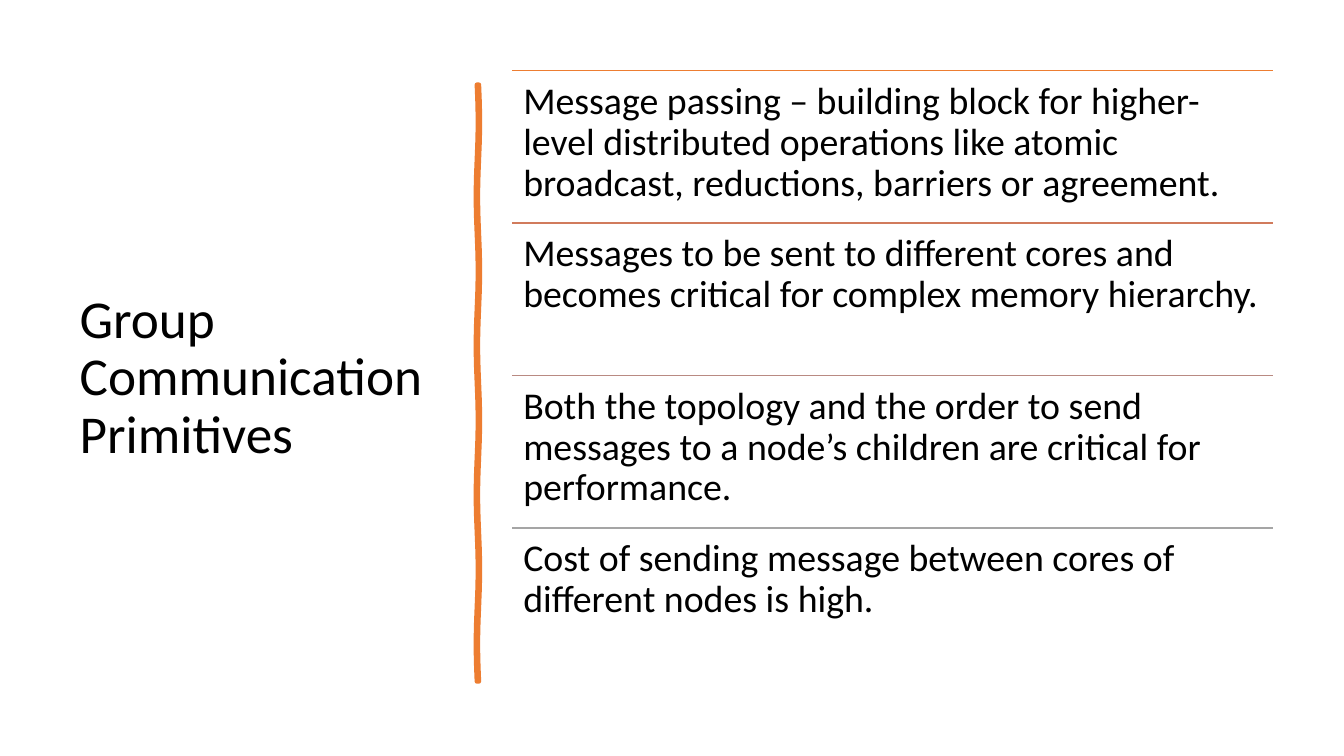
"""Build the Group Communication Primitives slide."""
from math import pi, sin
from lxml.etree import SubElement
from pptx import Presentation
from pptx.dml.color import RGBColor
from pptx.enum.shapes import MSO_CONNECTOR
from pptx.enum.text import MSO_ANCHOR, MSO_AUTO_SIZE, PP_ALIGN
from pptx.oxml.ns import qn
from pptx.util import Inches, Pt


def color(value):
    return RGBColor.from_string(value)


def write(tf, text, size, frame):
    for name, value in frame.items():
        setattr(tf, name, value)
    p = tf.paragraphs[0]
    p.alignment, p.line_spacing = PP_ALIGN.LEFT, 0.9
    r = p.add_run()
    r.text = text
    for name, value in {"name": "Calibri", "size": Pt(size)}.items():
        setattr(r.font, name, value)
    r.font.color.rgb = color("000000")


ORANGE = "ED7D31"
POINTS = [
    ("Message passing – building block for higher-level distributed operations "
     "like atomic broadcast, reductions, barriers or agreement.", ORANGE),
    ("Messages to be sent to different cores and becomes critical for complex "
     "memory hierarchy.", "D17B5C"),
    ("Both the topology and the order to send messages to a node’s children are "
     "critical for performance.", "B98A82"),
    ("Cost of sending message between cores of different nodes is high.", "A5A5A5"),
]
LIST_LEFT, LIST_TOP, LIST_WIDTH, LIST_HEIGHT = 5.08, 0.7, 7.55, 6.05
ROW_HEIGHT = LIST_HEIGHT / len(POINTS)
BAR_LEFT, BAR_RIGHT, BAR_TOP, BAR_HEIGHT = 4.73, 4.75, 0.84, 5.92
BAR_STEPS, BAR_WAVES, BAR_SWAY = 40, 4, 0.01

prs = Presentation()
prs.slide_width, prs.slide_height = Inches(13.33), Inches(7.5)
s = prs.slides.add_slide(prs.slide_layouts[5])

title = s.shapes.title
title_box = {"left": 0.69, "top": 0.7, "width": 3.74, "height": 6.11}
for name, value in title_box.items():
    setattr(title, name, Inches(value))
write(title.text_frame, "Group Communication Primitives", 38, {
    "word_wrap": True, "auto_size": MSO_AUTO_SIZE.NONE,
    "vertical_anchor": MSO_ANCHOR.MIDDLE})

right_edge, left_edge = [], []
for step in range(BAR_STEPS + 1):
    progress = step / BAR_STEPS
    y = Inches(BAR_TOP + progress * BAR_HEIGHT)
    sway = BAR_SWAY * sin(2 * pi * BAR_WAVES * progress)
    right_edge.append((Inches(BAR_RIGHT + sway), y))
    left_edge.append((Inches(BAR_LEFT + sway), y))
outline = right_edge + left_edge[::-1]

builder = s.shapes.build_freeform(*outline[0])
builder.add_line_segments(outline[1:], close=True)
bar = builder.convert_to_shape()
bar.shadow.inherit = False
bar.fill.solid()
bar.fill.fore_color.rgb = color(ORANGE)
bar.line.color.rgb = color(ORANGE)
bar.line.width = Pt(3.25)
SubElement(bar._element.spPr.find(qn("a:ln")), qn("a:round"))

sides = ("left", "top", "right", "bottom")
margins = {f"margin_{side}": Inches(0.11) for side in sides}
for i, (text, rule_color) in enumerate(POINTS):
    y = Inches(LIST_TOP + i * ROW_HEIGHT)
    rule = s.shapes.add_connector(
        MSO_CONNECTOR.STRAIGHT, Inches(LIST_LEFT), y,
        Inches(LIST_LEFT + LIST_WIDTH), y)
    rule.line.color.rgb = color(rule_color)
    rule.line.width = Pt(1)
    SubElement(rule._element.spPr, qn("a:effectLst"))
    box = s.shapes.add_textbox(
        Inches(LIST_LEFT), y, Inches(LIST_WIDTH), Inches(ROW_HEIGHT))
    write(box.text_frame, text, 27, {
        "word_wrap": True, "vertical_anchor": MSO_ANCHOR.TOP, **margins})

prs.save("out.pptx")
